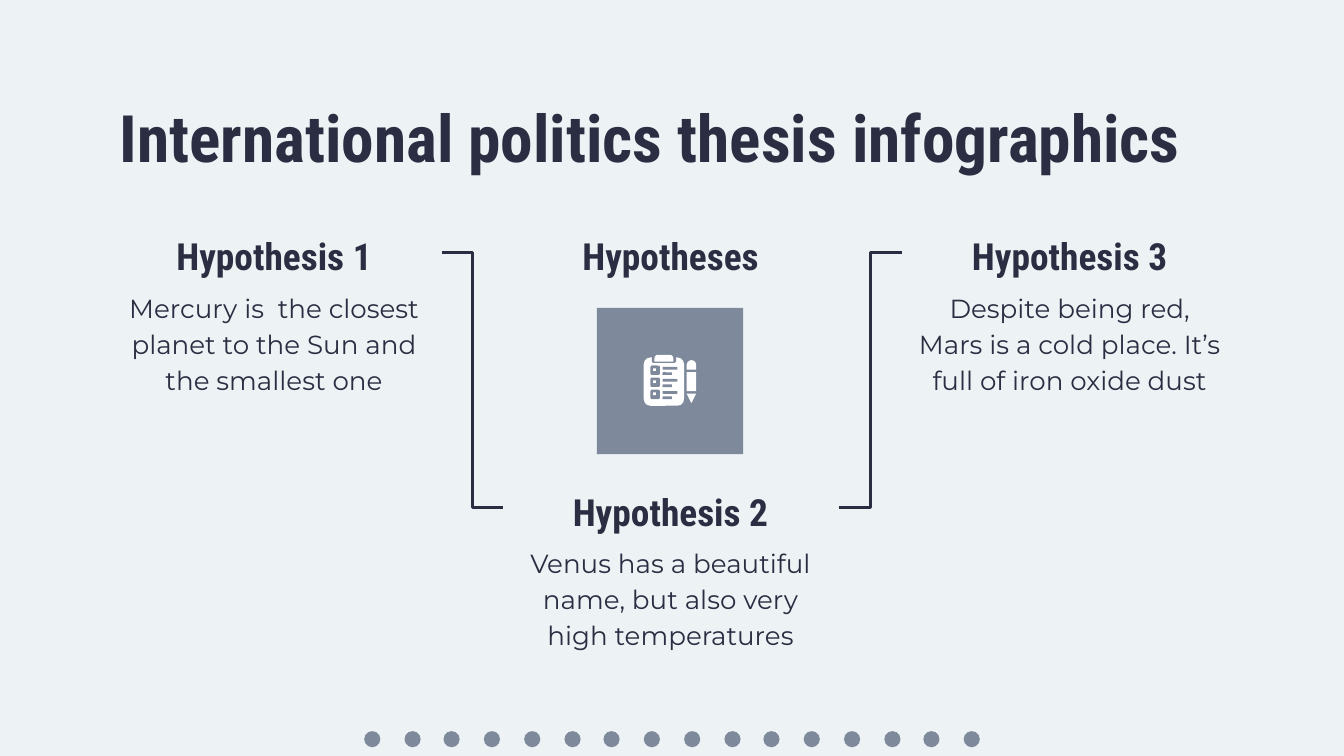
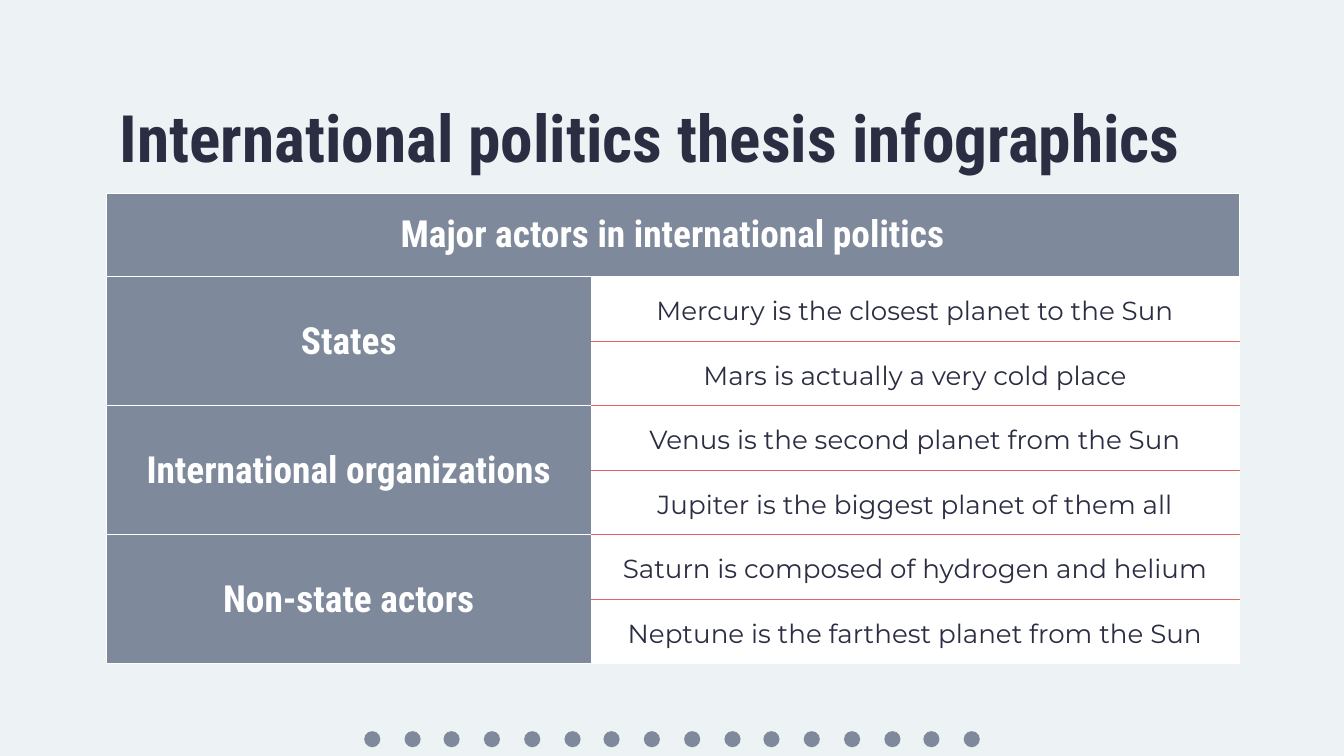
from lxml.etree import SubElement
from pptx import Presentation
from pptx.dml.color import RGBColor
from pptx.enum.shapes import MSO_CONNECTOR, MSO_SHAPE
from pptx.enum.text import MSO_ANCHOR, PP_ALIGN
from pptx.oxml.ns import qn
from pptx.util import Emu, Pt

PX = 9144  # 100 px to the inch

PAPER = RGBColor(0xED, 0xF2, 0xF4)
INK = RGBColor(0x2B, 0x2D, 0x42)
SLATE = RGBColor(0x7E, 0x89, 0x9C)
WHITE = RGBColor(0xFF, 0xFF, 0xFF)
CORAL = RGBColor(0xE0, 0x66, 0x66)

TITLE = {"name": "Roboto Condensed", "size": Pt(35), "bold": True}
HEADING = {**TITLE, "size": Pt(20)}
BODY = {"name": "Montserrat", "size": Pt(14), "bold": False}

CENTER = {"alignment": PP_ALIGN.CENTER}
CENTER_LOOSE = {**CENTER, "line_spacing": 1.15}

EVEN_INSETS = (10, 10, 10, 10)
HEADING_INSETS = (0, 5, 0, 0)
MARGINS = ("margin_left", "margin_top", "margin_right", "margin_bottom")

TITLE_TEXT = "International politics thesis infographics"
HYPOTHESES = [
    ((79, 163), "Hypothesis 1",
     "Mercury is  the closest planet to the Sun and the smallest one"),
    ((374, 353), "Hypothesis 2",
     "Venus has a beautiful name, but also very high temperatures"),
    ((671, 163), "Hypothesis 3",
     "Despite being red, Mars is a cold place. It’s full of iron oxide dust"),
]
TABLE_HEADING = "Major actors in international politics"
ACTORS = [
    ("States", ["Mercury is the closest planet to the Sun",
                "Mars is actually a very cold place"]),
    ("International organizations", ["Venus is the second planet from the Sun",
                                     "Jupiter is the biggest planet of them all"]),
    ("Non-state actors", ["Saturn is composed of hydrogen and helium",
                          "Neptune is the farthest planet from the Sun"]),
]


def px(*lengths):
    return [Emu(n * PX) for n in lengths]


def set_all(target, values):
    for name, value in values.items():
        setattr(target, name, value)


def write(tf, text, font, color, para):
    p = tf.paragraphs[0]
    set_all(p, para)
    r = p.add_run()
    r.text = text
    set_all(r.font, font)
    r.font.color.rgb = color


def add_text(shapes, box, text, font, para, insets=EVEN_INSETS, anchor=MSO_ANCHOR.TOP):
    tf = shapes.add_textbox(*px(*box)).text_frame
    set_all(tf, {"word_wrap": True, "vertical_anchor": anchor,
                 **dict(zip(MARGINS, px(*insets)))})
    write(tf, text, font, INK, para)


def add_heading(shapes, x, y, text):
    add_text(shapes, (x, y, 250, 50), text, HEADING, CENTER,
             HEADING_INSETS, MSO_ANCHOR.MIDDLE)


def add_filled(shapes, kind, box, color):
    sp = shapes.add_shape(kind, *px(*box))
    sp.shadow.inherit = False
    sp.fill.solid()
    sp.fill.fore_color.rgb = color
    sp.line.fill.background()
    return sp


def add_dots(shapes, x, y, width, count=16):
    for i in range(count):
        left = x + round(i * width / (count - 1))
        add_filled(shapes, MSO_SHAPE.OVAL, (left, y, 12, 12), SLATE)


def add_base_slide(prs):
    s = prs.slides.add_slide(prs.slide_layouts[6])
    s.background.fill.solid()
    s.background.fill.fore_color.rgb = PAPER
    add_dots(s.shapes.add_group_shape().shapes, 271, 544, 446)
    add_text(s.shapes, (79, 62, 842, 62), TITLE_TEXT, TITLE, {})
    return s


def add_checklist_icon(shapes, x, y):
    """Clipboard with three ticked rows and a pencil beside it."""
    rect, rounded = MSO_SHAPE.RECTANGLE, MSO_SHAPE.ROUNDED_RECTANGLE
    cap, tip = MSO_SHAPE.ROUND_2_SAME_RECTANGLE, MSO_SHAPE.FLOWCHART_MERGE
    parts = [
        (rounded, (0, 2, 30, 36), WHITE),
        (rounded, (6, -2, 18, 8), SLATE),
        (cap, (8, 0, 14, 5), WHITE),
        (cap, (32, 4, 7, 7), WHITE),
        (rect, (32, 13, 7, 14), WHITE),
        (tip, (32, 29, 7, 7), WHITE),
    ]
    for top in range(9, 36, 9):
        parts += [
            (rounded, (5, top - 1, 7, 7), SLATE),
            (rect, (7, top + 1, 2, 2), WHITE),
            (rounded, (14, top, 11, 2), SLATE),
            (rounded, (14, top + 4, 7, 2), SLATE),
        ]
    for kind, (dx, dy, w, h), color in parts:
        sp = add_filled(shapes, kind, (x + dx, y + dy, w, h), color)
        if kind == cap:
            sp.adjustments[0] = 0.5


def add_hypothesis(shapes, x, y, heading, body):
    add_heading(shapes, x, y, heading)
    add_text(shapes, (x, y + 41, 250, 90), body, BODY, CENTER_LOOSE)


def add_bracket(shapes, start, end):
    c = shapes.add_connector(MSO_CONNECTOR.ELBOW, *px(*start, *end))
    c.line.color.rgb = INK
    c.line.width = Pt(1.5)
    SubElement(c._element.spPr, qn("a:effectLst"))


def add_hypotheses_slide(prs):
    shapes = add_base_slide(prs).shapes
    add_filled(shapes, MSO_SHAPE.RECTANGLE, (444, 229, 109, 109), SLATE)
    add_heading(shapes, 374, 163, "Hypotheses")
    for corner, heading, body in HYPOTHESES:
        add_hypothesis(shapes.add_group_shape().shapes, *corner, heading, body)
    add_bracket(shapes, (374, 378), (329, 188))
    add_bracket(shapes, (624, 378), (671, 188))
    add_checklist_icon(shapes.add_group_shape().shapes, 479, 264)


def set_borders(cell, top=WHITE, bottom=WHITE):
    tcPr = cell._tc.get_or_add_tcPr()
    sides = {"a:lnL": WHITE, "a:lnR": WHITE, "a:lnT": top, "a:lnB": bottom}
    for tag, color in sides.items():
        ln = SubElement(tcPr, qn(tag), w=str(Pt(0.75)))
        fill = SubElement(ln, qn("a:solidFill"))
        SubElement(fill, qn("a:srgbClr"), val=str(color))


def paint_cell(cell, fill, **borders):
    set_borders(cell, **borders)
    cell.fill.solid()
    cell.fill.fore_color.rgb = fill
    set_all(cell, {"vertical_anchor": MSO_ANCHOR.MIDDLE,
                   **dict(zip(MARGINS, px(*EVEN_INSETS)))})


def add_actors_table(shapes, x, y, col_widths, head_height, row_height):
    facts = [fact for _, pair in ACTORS for fact in pair]
    last = len(facts)
    size = sum(col_widths), head_height + last * row_height
    table = shapes.add_table(last + 1, 2, *px(x, y, *size)).table
    set_all(table, {"first_row": False, "horz_banding": False})
    for col, width in zip(table.columns, px(*col_widths)):
        col.width = width
    for row, height in zip(table.rows, px(head_height, *[row_height] * last)):
        row.height = height

    for row in range(last + 1):
        paint_cell(table.cell(row, 0), SLATE)
    paint_cell(table.cell(0, 1), SLATE)
    for row, fact in enumerate(facts, 1):
        cell = table.cell(row, 1)
        paint_cell(cell, WHITE, top=CORAL if row > 1 else WHITE,
                   bottom=CORAL if row < last else WHITE)
        write(cell.text_frame, fact, BODY, INK, CENTER_LOOSE)

    table.cell(0, 0).merge(table.cell(0, 1))
    write(table.cell(0, 0).text_frame, TABLE_HEADING, HEADING, WHITE, CENTER)
    for i, (actor, pair) in enumerate(ACTORS):
        row = 1 + i * len(pair)
        cell = table.cell(row, 0)
        cell.merge(table.cell(row + len(pair) - 1, 0))
        write(cell.text_frame, actor, HEADING, WHITE, CENTER)


def add_actors_slide(prs):
    s = add_base_slide(prs)
    add_actors_table(s.shapes, 79, 144, (361, 482), 62, 48)


def main():
    prs = Presentation()
    prs.slide_width = Emu(1000 * PX)
    prs.slide_height = Emu(prs.slide_width * 9 // 16)
    add_hypotheses_slide(prs)
    add_actors_slide(prs)
    prs.save("out.pptx")


if __name__ == "__main__":
    main()
